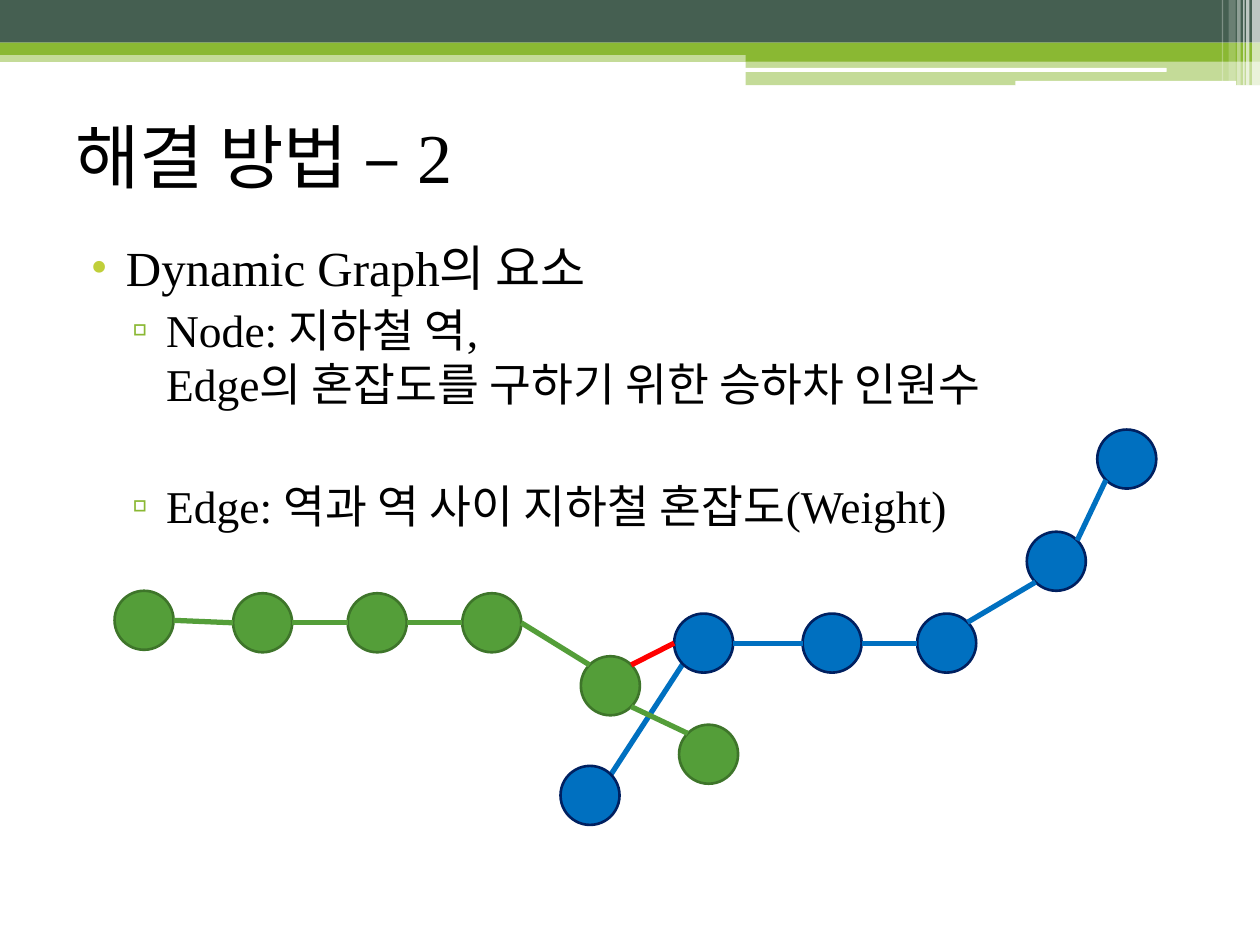
from math import cos, radians, sin

from lxml.etree import SubElement
from pptx import Presentation
from pptx.dml.color import RGBColor
from pptx.enum.shapes import MSO_CONNECTOR as Connector, MSO_SHAPE as Shape
from pptx.enum.text import MSO_ANCHOR as Anchor
from pptx.oxml.ns import qn
from pptx.util import Cm, Pt

COLORS = {
    "dark": "455F51", "lime": "8AB833", "white": "FFFFFF", "black": "000000",
    "bullet": "C0CF3A", "green": "549E39", "green_edge": "3E752A",
    "blue": "0070C0", "blue_edge": "002060", "transfer": "FF0000",
}
FONT = "Times New Roman"
DIAMETER = 1.19
ANGLES = {"E": 0, "SE": 45, "S": 90, "SW": 135, "W": 180, "NW": 225, "N": 270, "NE": 315}

# left, top, width, height, colour, opacity in percent
BANDS = [
    (0, 1.02, 25.4, 0.23, "lime", 50),
    (0, 0, 25.4, 0.86, "dark", 100),
    (0, 0.86, 25.4, 0.25, "lime", 100),
    (15.03, 0.99, 10.37, 0.25, "lime", 100),
    (15.03, 1.23, 10.37, 0.49, "lime", 50),
]
SLITS = [(15.01, 1.37, 8.51, 0.08), (20.47, 1.63, 4.45, 0.1)]
# left, width, height, opacity in percent
STRIPES = [
    (25.24, 0.16, 1.73, 65), (25.12, 0.07, 1.73, 65), (25.06, 0.03, 1.73, 60),
    (24.94, 0.07, 1.73, 40), (24.77, 0.14, 1.63, 20), (24.63, 0.03, 1.63, 30),
]
# left and top of each station
STATIONS = {
    "green": [(2.31, 11.91), (4.7, 11.96), (7.01, 11.96), (9.32, 11.96),
              (11.71, 13.23), (13.69, 14.61)],
    "blue": [(13.59, 12.37), (16.18, 12.37), (18.49, 12.37), (20.7, 10.72),
             (22.12, 8.66), (11.3, 15.44)],
}
# colour, then line, station and side at either end
BRANCH = ("blue", ("blue", 5, "NE"), ("blue", 0, "SW"))
TRACKS = [
    *[("green", ("green", i, "E"), ("green", i + 1, "W")) for i in range(3)],
    ("green", ("green", 3, "E"), ("green", 4, "NW")),
    ("green", ("green", 4, "SE"), ("green", 5, "NW")),
    *[("blue", ("blue", i, "E"), ("blue", i + 1, "W")) for i in range(2)],
    ("blue", ("blue", 2, "NE"), ("blue", 3, "SW")),
    ("blue", ("blue", 3, "NE"), ("blue", 4, "SW")),
    ("transfer", ("green", 4, "NE"), ("blue", 0, "W")),
]
# text, size, left margin, indent, space before, bullet, bullet colour
BODY = [
    ("Dynamic Graph의 요소", 28, 1.02, -0.71, 3, "•", "bullet"),
    ("Node: 지하철 역,\vEdge의 혼잡도를 구하기 위한 승하차 인원수",
     26, 1.83, -0.69, 3, "▫", "lime"),
    ("Edge: 역과 역 사이 지하철 혼잡도(Weight)", 26, 1.83, -0.69, 38, "▫", "lime"),
]


def rgb(name):
    return RGBColor.from_string(COLORS[name])


def port(line, index, side):
    """Return the point on a station's rim that faces the given side."""
    left, top = STATIONS[line][index]
    radius, angle = DIAMETER / 2, radians(ANGLES[side])
    return left + radius * (1 + cos(angle)), top + radius * (1 + sin(angle))


class SlideBuilder:
    def __init__(self, slide):
        self.slide = slide

    def shape(self, kind, left, top, width, height, fill, opacity=100, outline=None):
        shape = self.slide.shapes.add_shape(kind, Cm(left), Cm(top), Cm(width), Cm(height))
        shape.shadow.inherit = False
        shape.fill.solid()
        shape.fill.fore_color.rgb = rgb(fill)
        if opacity < 100:
            color = shape._element.spPr.find(qn("a:solidFill")).find(qn("a:srgbClr"))
            SubElement(color, qn("a:alpha"), val=str(opacity * 1000))
        if outline:
            shape.line.color.rgb = rgb(outline)
            shape.line.width = Pt(1.5)
        else:
            shape.line.fill.background()

    def station(self, line, left, top):
        self.shape(Shape.OVAL, left, top, DIAMETER, DIAMETER, line, outline=line + "_edge")

    def track(self, color, start, end):
        points = [Cm(value) for value in (*port(*start), *port(*end))]
        connector = self.slide.shapes.add_connector(Connector.STRAIGHT, *points)
        connector.line.color.rgb = rgb(color)
        connector.line.width = Pt(3)
        SubElement(connector._element.spPr, qn("a:effectLst"))

    def text_box(self, left, top, width, height, anchor=Anchor.TOP):
        box = self.slide.shapes.add_textbox(Cm(left), Cm(top), Cm(width), Cm(height))
        box.text_frame.word_wrap = True
        box.text_frame.vertical_anchor = anchor
        return box.text_frame

    def set_text(self, paragraph, text, size):
        paragraph.text = text
        paragraph.font.name = FONT
        paragraph.font.size = Pt(size)
        paragraph.font.color.rgb = rgb("black")

    def bullet(self, paragraph, margin, indent, mark, color):
        properties = paragraph._p.get_or_add_pPr()
        properties.set("marL", str(Cm(margin)))
        properties.set("indent", str(Cm(indent)))
        elements = [properties.makeelement(qn(tag)) for tag in ("a:buClr", "a:buFont", "a:buChar")]
        SubElement(elements[0], qn("a:srgbClr"), val=COLORS[color])
        elements[1].set("typeface", FONT)
        elements[2].set("char", mark)
        defaults = properties.find(qn("a:defRPr"))
        for element in elements:
            defaults.addprevious(element)


def main():
    presentation = Presentation()
    presentation.slide_width, presentation.slide_height = Cm(25.4), Cm(19.05)
    builder = SlideBuilder(presentation.slides.add_slide(presentation.slide_layouts[6]))

    for left, top, width, height, color, opacity in BANDS:
        builder.shape(Shape.RECTANGLE, left, top, width, height, color, opacity)
    for slit in SLITS:
        builder.shape(Shape.ROUNDED_RECTANGLE, *slit, "white")
    for left, width, height, opacity in STRIPES:
        builder.shape(Shape.RECTANGLE, left, 0, width, height, "white", opacity)

    title = builder.text_box(1.27, 1.65, 22.86, 2.97, Anchor.MIDDLE)
    builder.set_text(title.paragraphs[0], "해결 방법 – 2", 40)

    builder.track(*BRANCH)
    body = builder.text_box(1.27, 4.67, 22.86, 13.59)
    for number, (text, size, margin, indent, space, mark, color) in enumerate(BODY):
        paragraph = body.add_paragraph() if number else body.paragraphs[0]
        builder.set_text(paragraph, text, size)
        paragraph.space_before = Pt(space)
        builder.bullet(paragraph, margin, indent, mark, color)

    for line, positions in STATIONS.items():
        for left, top in positions:
            builder.station(line, left, top)
    for track in TRACKS:
        builder.track(*track)

    presentation.save("out.pptx")


if __name__ == "__main__":
    main()
